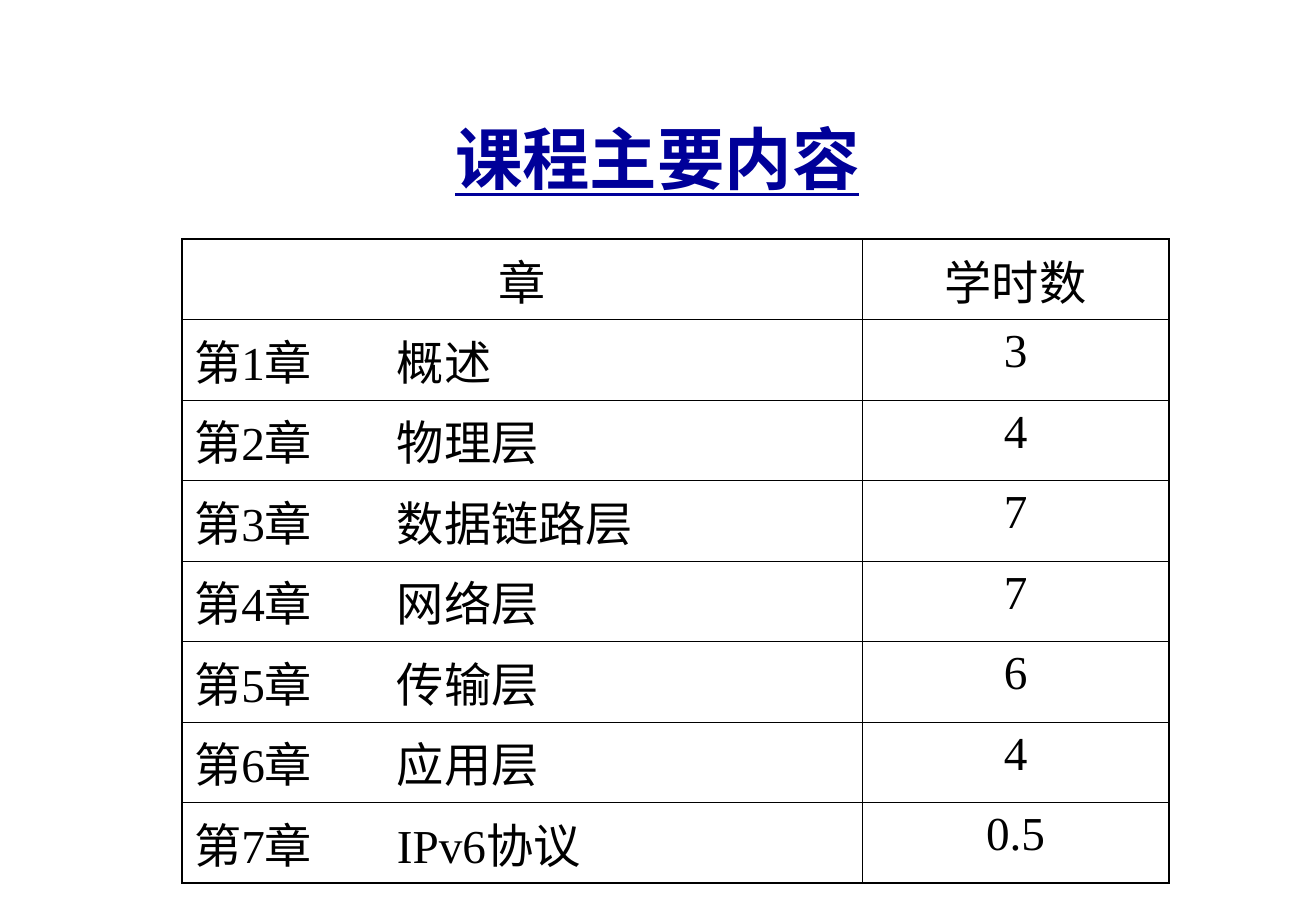
"""Build a slide listing the course chapters and their teaching hours."""
from dataclasses import dataclass

import pptx
import pptx.dml.color
import pptx.enum.text
import pptx.oxml
import pptx.oxml.ns
import pptx.util

PX = 9144
FONT = "Times New Roman"
COLORS = {"title": "000099", "text": "000000", "border": "000000"}
COLUMN_WIDTHS = (560, 253)
ROW_HEIGHT = 66
NAME_TAB = 167
OUTER_PT, INNER_PT = 1.08, 0.45
ALIGN = pptx.enum.text.PP_ALIGN


@dataclass(frozen=True)
class Chapter:
    name: str
    hours: str


CHAPTERS = (
    Chapter("概述", "3"),
    Chapter("物理层", "4"),
    Chapter("数据链路层", "7"),
    Chapter("网络层", "7"),
    Chapter("传输层", "6"),
    Chapter("应用层", "4"),
    Chapter("IPv6协议", "0.5"),
)


def px(n: int) -> pptx.util.Emu:
    """Convert px to EMU."""
    return pptx.util.Emu(n * PX)


def format_runs(p, size: int, color: str, bold: bool = False) -> None:
    """Format every run of a paragraph."""
    for r in p.runs:
        r.font.name = FONT
        r.font.size = pptx.util.Pt(size)
        r.font.bold = bold
        r.font.underline = bold
        r.font.color.rgb = pptx.dml.color.RGBColor.from_string(COLORS[color])


def add_tab(p, position: int) -> None:
    """Add a left tab stop to a paragraph."""
    ns = pptx.oxml.ns.nsdecls("a")
    p._p.get_or_add_pPr().append(pptx.oxml.parse_xml(
        f'<a:tabLst {ns}><a:tab pos="{px(position)}" algn="l"/></a:tabLst>'))


def set_borders(cell, outer: dict[str, bool]) -> None:
    """Draw the four sides of a cell, thicker on the table's outline."""
    ns = pptx.oxml.ns.nsdecls("a")
    tc_pr = cell._tc.get_or_add_tcPr()
    for side, is_outer in outer.items():
        width = pptx.util.Pt(OUTER_PT if is_outer else INNER_PT)
        tc_pr.append(pptx.oxml.parse_xml(
            f'<a:ln{side} {ns} w="{width}"><a:solidFill>'
            f'<a:srgbClr val="{COLORS["border"]}"/></a:solidFill></a:ln{side}>'))


def add_title(slide, text: str) -> None:
    """Place and format the slide title."""
    sp = slide.shapes.title
    sp.left, sp.top, sp.width, sp.height = px(81), px(67), px(921), px(125)
    tf = sp.text_frame
    tf.text = text
    tf.vertical_anchor = pptx.enum.text.MSO_ANCHOR.MIDDLE
    p = tf.paragraphs[0]
    p.alignment = ALIGN.CENTER
    format_runs(p, 40, "title", bold=True)


def add_chapter_table(slide, rows: list[tuple[str, str]]) -> None:
    """Draw the table, with chapter names on a tab and hours centred."""
    last_row, last_col = len(rows) - 1, len(COLUMN_WIDTHS) - 1
    table = slide.shapes.add_table(
        len(rows), len(COLUMN_WIDTHS), px(150), px(197),
        px(sum(COLUMN_WIDTHS)), px(ROW_HEIGHT * len(rows))).table
    table.first_row = table.horz_banding = False
    for column, width in zip(table.columns, COLUMN_WIDTHS):
        column.width = px(width)
    for i, row in enumerate(rows):
        for j, text in enumerate(row):
            cell = table.cell(i, j)
            set_borders(cell, {"L": j == 0, "R": j == last_col,
                               "T": i == 0, "B": i == last_row})
            cell.fill.background()
            cell.text_frame.text = text
            p = cell.text_frame.paragraphs[0]
            if "\t" in text:
                p.alignment = ALIGN.LEFT
                add_tab(p, NAME_TAB)
            else:
                p.alignment = ALIGN.CENTER
            format_runs(p, 28, "text")


def main() -> None:
    """Build and save the presentation."""
    prs = pptx.Presentation()
    prs.slide_width, prs.slide_height = px(1084), px(750)
    slide = prs.slides.add_slide(prs.slide_layouts[5])
    add_title(slide, "课程主要内容")
    chapters = [(f"第{n}章\t{chapter.name}", chapter.hours)
                for n, chapter in enumerate(CHAPTERS, 1)]
    add_chapter_table(slide, [("章", "学时数"), *chapters])
    prs.save("out.pptx")


if __name__ == "__main__":
    main()
